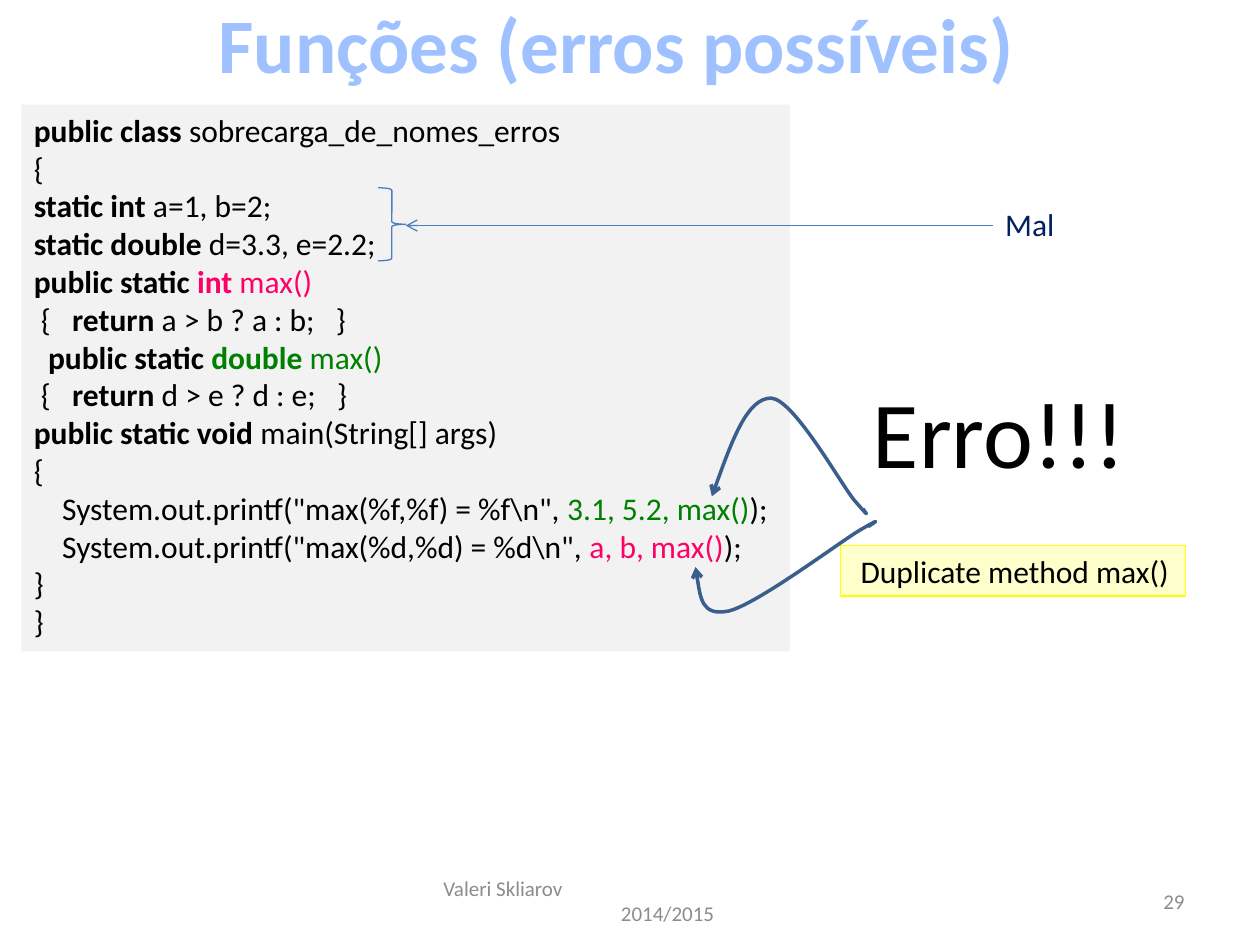
"""Build the slide on possible errors when overloading functions."""
import pptx
import pptx.dml.color
import pptx.enum.shapes
import pptx.enum.text
import pptx.oxml
import pptx.oxml.ns
import pptx.util
from lxml import etree

Inches, Pt = pptx.util.Inches, pptx.util.Pt
SHAPE = pptx.enum.shapes.MSO_SHAPE
ALIGN = pptx.enum.text.PP_ALIGN
ANCHOR = pptx.enum.text.MSO_ANCHOR
qn = pptx.oxml.ns.qn

THEME = {
    "font": "Calibri",
    "title": 44, "shout": 54, "body": 18, "footer": 12,
    "black": "000000", "grey": "8C8C8C", "navy": "002060",
    "pink": "FF0066", "green": "008000",
    "panel": "F2F2F2", "note": "FFFFCC", "note_line": "FFFF00",
    "line": "4B7EBC", "curve": "3A5F8C", "title_line": "467AB8",
    "title_stops": [(0, "BFD3F9"), (9, "A0C1FF"), (50, "003D85"),
                    (79, "A0C1FF"), (100, "BFD3F9")],
}

TITLE = "Funções (erros possíveis)"
CODE = [
    [("public class ", "black", True), ("sobrecarga_de_nomes_erros", "black", False)],
    [("{", "black", False)],
    [("static int ", "black", True), ("a=1, b=2;", "black", False)],
    [("static double ", "black", True), ("d=3.3, e=2.2;", "black", False)],
    [("public static ", "black", True), ("int ", "pink", True), ("max()", "pink", False)],
    [(" {   ", "black", False), ("return", "black", True), (" a > b ? a : b;   }", "black", False)],
    [("  ", "black", False), ("public static ", "black", True), ("double ", "green", True),
     ("max()", "green", False)],
    [(" {   ", "black", False), ("return ", "black", True), ("d > e ? d : e;   }", "black", False)],
    [("public static void ", "black", True), ("main(String[] args)", "black", False)],
    [("{", "black", False)],
    [('    System.out.printf("max(%f,%f) = %f\\n", ', "black", False),
     ("3.1, 5.2, max()", "green", False), (");", "black", False)],
    [('    System.out.printf("max(%d,%d) = %d\\n", ', "black", False),
     ("a, b, max()", "pink", False), (");", "black", False)],
    [("}", "black", False)],
    [("}", "black", False)],
]
CURVES = [
    [(6.85, 4.04), (6.88, 4.08), (6.91, 4.12), (6.78, 3.97), (6.66, 3.82),
     (6.3, 3.17), (6.12, 3.16), (5.93, 3.16), (5.79, 3.55), (5.65, 3.94)],
    [(6.89, 4.18), (6.95, 4.14), (7.01, 4.1), (6.82, 4.21), (6.64, 4.32),
     (6, 4.8), (5.78, 4.85), (5.57, 4.89), (5.55, 4.7), (5.52, 4.5)],
]


def rgb(name):
    return pptx.dml.color.RGBColor.from_string(THEME[name])


def write(s, paragraphs, size, align=ALIGN.LEFT, anchor=ANCHOR.TOP, wrap=False):
    tf = s.text_frame
    tf.word_wrap = wrap
    tf.vertical_anchor = anchor
    tf.auto_size = pptx.enum.text.MSO_AUTO_SIZE.NONE
    for i, runs in enumerate(paragraphs):
        p = tf.add_paragraph() if i else tf.paragraphs[0]
        p.alignment = align
        for text, color, bold in runs:
            r = p.add_run()
            r.text = text
            r.font.name = THEME["font"]
            r.font.size = Pt(THEME[size])
            r.font.bold = bold
            r.font.color.rgb = rgb(color)
    return tf


def add_text(slide, box, paragraphs, size, **layout):
    s = slide.shapes.add_textbox(*map(Inches, box))
    return write(s, paragraphs, size, **layout)


def add_box(slide, kind, box, fill=None, line=None):
    s = slide.shapes.add_shape(kind, *map(Inches, box))
    s.shadow.inherit = False
    if fill:
        s.fill.solid()
        s.fill.fore_color.rgb = rgb(fill)
    else:
        s.fill.background()
    if line:
        s.line.color.rgb = rgb(line)
        s.line.width = Pt(0.75)
    else:
        s.line.fill.background()
    return s


def add_arrowhead(s, color, width):
    s.line.color.rgb = rgb(color)
    s.line.width = Pt(width)
    etree.SubElement(s.line._get_or_add_ln(), qn("a:tailEnd"), type="arrow")


def add_curve(slide, points):
    start, *rest = [tuple(map(Inches, pt)) for pt in points]
    builder = slide.shapes.build_freeform(*start)
    builder.add_line_segments(rest, close=False)
    s = builder.convert_to_shape()
    s.shadow.inherit = False
    s.fill.background()
    segments = list(s._element.iter(qn("a:lnTo")))
    for i in range(0, len(segments), 3):
        curve = etree.SubElement(segments[i].getparent(), qn("a:cubicBezTo"))
        for segment in segments[i:i + 3]:
            curve.append(segment[0])
            segment.getparent().remove(segment)
    add_arrowhead(s, "curve", 2)


def add_title(slide):
    s = slide.shapes.title
    s.left, s.top, s.width, s.height = map(Inches, (1.61, -0.08, 6.57, 0.84))
    tf = write(s, [[(TITLE, "black", True)]], "title", align=ALIGN.CENTER)
    stops = "".join(f'<a:gs pos="{pos * 1000}"><a:srgbClr val="{color}"/></a:gs>'
                    for pos, color in THEME["title_stops"])
    ns = pptx.oxml.ns.nsdecls("a")
    gradient = pptx.oxml.parse_xml(
        f'<a:gradFill {ns}><a:gsLst>{stops}</a:gsLst><a:lin ang="5400000"/></a:gradFill>')
    outline = pptx.oxml.parse_xml(
        f'<a:ln {ns} w="{Pt(0.83)}"><a:solidFill><a:srgbClr val="{THEME["title_line"]}"/>'
        '</a:solidFill></a:ln>')
    props = tf.paragraphs[0].runs[0]._r.get_or_add_rPr()
    props.replace(props.find(qn("a:solidFill")), gradient)
    props.insert(0, outline)


def main():
    prs = pptx.Presentation()
    prs.slide_width, prs.slide_height = Inches(10), Inches(7.5)
    slide = prs.slides.add_slide(prs.slide_layouts[5])
    add_title(slide)

    footer = add_text(slide, (3.42, 6.95, 3.17, 0.4),
                      [[("Valeri Skliarov", "grey", False)], [("2014/2015", "grey", False)]],
                      "footer", anchor=ANCHOR.MIDDLE, wrap=True)
    footer.paragraphs[1]._p.get_or_add_pPr().set("marL", str(Inches(1.41)))
    add_text(slide, (7.17, 6.95, 2.33, 0.4), [[("29", "grey", False)]], "footer",
             align=ALIGN.RIGHT, anchor=ANCHOR.MIDDLE, wrap=True)

    write(add_box(slide, SHAPE.RECTANGLE, (0.17, 0.83, 6.1, 4.34), "panel"), CODE, "body")
    add_text(slide, (6.83, 2.92, 2.23, 1.01), [[("Erro!!!", "black", False)]], "shout")
    note = add_box(slide, SHAPE.RECTANGLE, (6.67, 4.33, 2.74, 0.4), "note", "note_line")
    tf = write(note, [[("Duplicate method max()", "black", False)]], "body")
    tf.margin_left = Inches(0.16)

    arrow = slide.shapes.add_connector(pptx.enum.shapes.MSO_CONNECTOR.STRAIGHT,
                                       *map(Inches, (7.88, 1.79, 3.22, 1.79)))
    add_arrowhead(arrow, "line", 0.75)
    etree.SubElement(arrow._element.spPr, qn("a:effectLst"))
    add_text(slide, (7.88, 1.58, 0.6, 0.4), [[("Mal", "navy", False)]], "body")
    add_box(slide, SHAPE.RIGHT_BRACE, (3, 1.49, 0.22, 0.58), line="line")
    for points in CURVES:
        add_curve(slide, points)
    prs.save("out.pptx")


if __name__ == "__main__":
    main()
